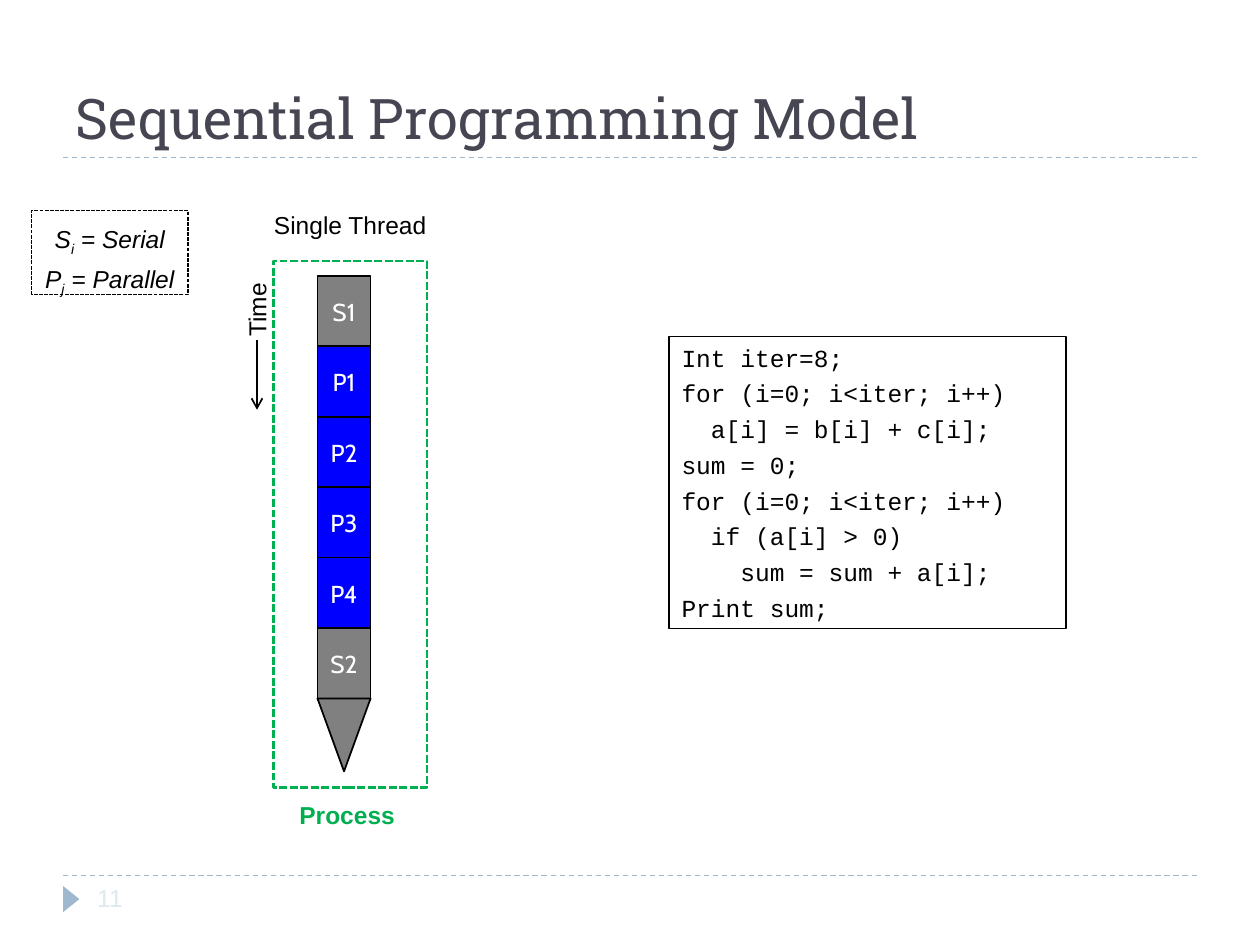
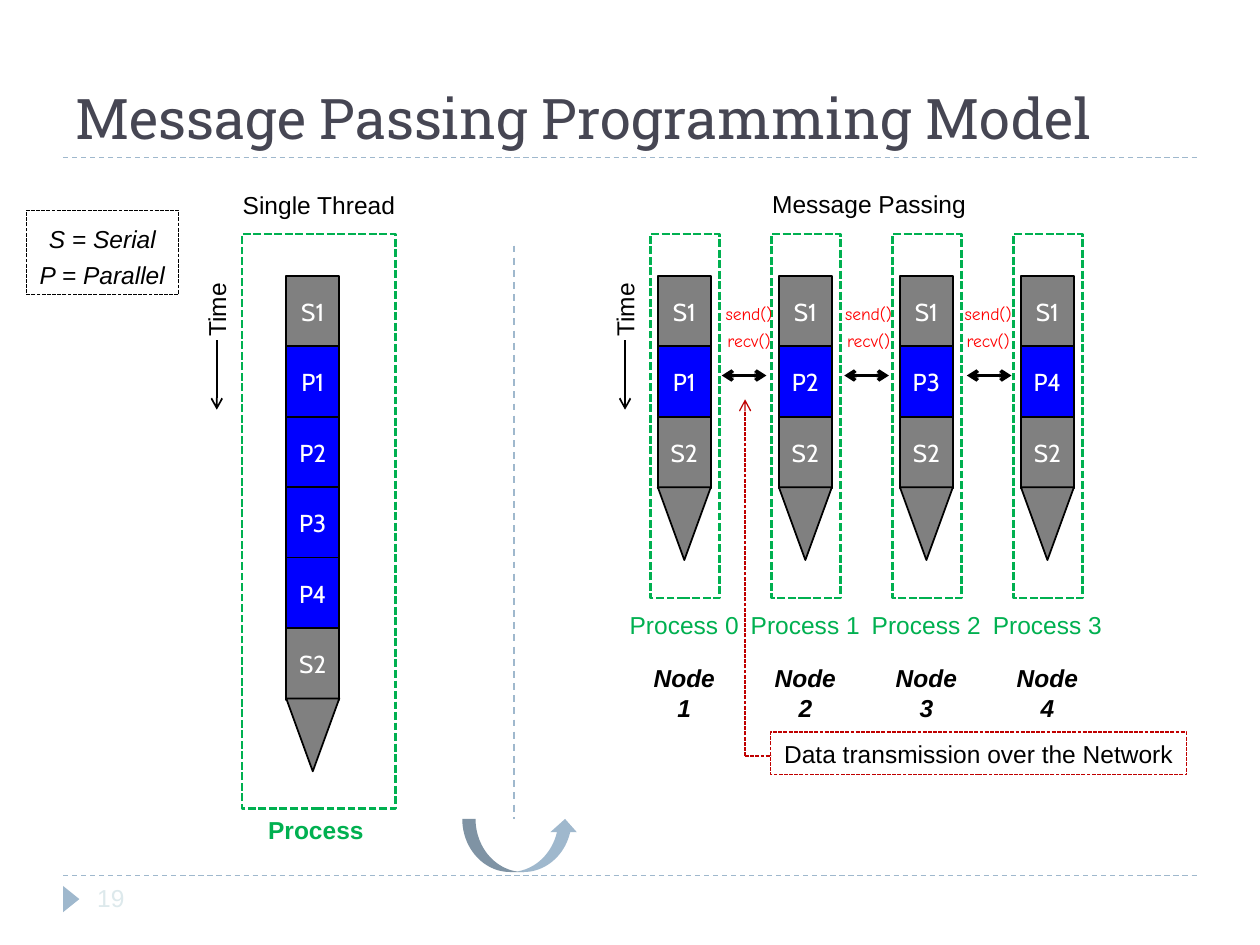
from pptx import Presentation
from pptx import util as u
from pptx.dml.color import RGBColor
from pptx.enum import dml, shapes, text
from pptx.oxml.ns import qn
from lxml import etree

CODE = """Int iter=8;
for (i=0; i<iter; i++)
  a[i] = b[i] + c[i];
sum = 0;
for (i=0; i<iter; i++)
  if (a[i] > 0)
    sum = sum + a[i];
Print sum;"""

BLACK, WHITE, GRAY = "000000", "FFFFFF", "808080"
BLUE, GREEN, RED = "0000FF", "00B050", "C00000"
SKY, SLATE, PALE = "9FB8CD", "464653", "DDE9EC"
DASH, DOTS = dml.MSO_LINE.DASH, dml.MSO_LINE.SQUARE_DOT
KIND = shapes.MSO_SHAPE
LEFT, MID = text.PP_ALIGN.LEFT, text.PP_ALIGN.CENTER
TOP, CORE, BASE = (text.MSO_ANCHOR.TOP, text.MSO_ANCHOR.MIDDLE,
                   text.MSO_ANCHOR.BOTTOM)


def color(code):
    return RGBColor.from_string(code)


def write(shape, words, size=14, face="Arial", ink=BLACK, bold=False,
          slant=False, align=MID, anchor=TOP, inset=(0, 0), wrap=False):
    frame = shape.text_frame
    frame.word_wrap = wrap
    frame.vertical_anchor = anchor
    frame.margin_left = frame.margin_right = u.Cm(inset[0])
    frame.margin_top = frame.margin_bottom = u.Cm(inset[1])
    for n, line in enumerate(words.split("\n")):
        para = frame.add_paragraph() if n else frame.paragraphs[0]
        para.alignment = align
        para.space_before = u.Pt(3.6 if n else 0)
        for k, part in enumerate(line.split("_")):
            run = para.add_run()
            run.text = part
            font = run.font
            font.size, font.name = u.Pt(size), face
            font.bold, font.italic = bold, slant
            font.color.rgb = color(ink)
            if k % 2:
                run._r.get_or_add_rPr().set("baseline", "-25000")


class Deck:
    block_w, step, start = 1.07, 1.42, 5.56
    label_h = 0.61

    def __init__(self):
        self.show = Presentation()
        self.show.slide_width = u.Cm(25.4)
        self.show.slide_height = u.Cm(19.05)

    def page(self, title, number):
        self.slide = self.show.slides.add_slide(self.show.slide_layouts[5])
        for y in (17.65, 3.18):
            self.line(1.27, y, 24.13, y, SKY, 0.75, DASH)
        self.shape(KIND.ISOSCELES_TRIANGLE, 1.17, 17.96, 0.53, 0.33,
                   fill=SKY, turn=90)
        head = self.slide.shapes.title
        head.left, head.top = u.Cm(1.27), u.Cm(0.43)
        head.width, head.height = u.Cm(22.86), u.Cm(2.74)
        write(head, title, size=32, face="Roboto Slab", ink=SLATE,
              align=LEFT, anchor=BASE, inset=(0.25, 0.13), wrap=True)
        self.label(number, 2.46, 17.8, 1, ink=PALE, align=LEFT)

    def shape(self, kind, x, y, w, h, fill=None, edge=None, width=1,
              dash=None, turn=0):
        item = self.slide.shapes.add_shape(
            kind, u.Cm(x), u.Cm(y), u.Cm(w), u.Cm(h))
        item.shadow.inherit = False
        item.rotation = turn
        if fill:
            item.fill.solid()
            item.fill.fore_color.rgb = color(fill)
        else:
            item.fill.background()
        if edge:
            self.stroke(item, edge, width, dash)
        else:
            item.line.fill.background()
        return item

    def stroke(self, item, ink, width, dash):
        item.line.color.rgb = color(ink)
        item.line.width = u.Pt(width)
        if dash:
            item.line.dash_style = dash

    def line(self, x1, y1, x2, y2, ink=BLACK, width=1, dash=None, ends=()):
        item = self.slide.shapes.add_connector(
            shapes.MSO_CONNECTOR.STRAIGHT,
            u.Cm(x1), u.Cm(y1), u.Cm(x2), u.Cm(y2))
        self.stroke(item, ink, width, dash)
        for end in ends:
            etree.SubElement(item.line._get_or_add_ln(), qn(f"a:{end}"),
                             type="arrow")
        etree.SubElement(item._element.spPr, qn("a:effectLst"))

    def label(self, words, mid, y, w, h=label_h, turn=0, **style):
        item = self.slide.shapes.add_textbox(
            u.Cm(mid - w / 2), u.Cm(y), u.Cm(w), u.Cm(h))
        item.rotation = turn
        write(item, words, **style)

    def frame(self, x, y, w, h):
        self.shape(KIND.RECTANGLE, x, y, w, h, edge=GREEN, width=1.5,
                   dash=DOTS)

    def note(self, words, x, y, w, h, edge=BLACK, dash=DOTS, **style):
        item = self.shape(KIND.RECTANGLE, x, y, w, h, edge=edge,
                          width=0.75, dash=dash)
        write(item, words, **style)

    def thread(self, x, names):
        for n, name in enumerate(names):
            item = self.shape(KIND.RECTANGLE, x, self.start + n * self.step,
                              self.block_w, 1.45, edge=BLACK,
                              fill=GRAY if name[0] == "S" else BLUE)
            write(item, name, face="Cabin", ink=WHITE, anchor=CORE,
                  inset=(0, 0.13))
        self.shape(KIND.ISOSCELES_TRIANGLE, x,
                   self.start + len(names) * self.step, self.block_w, 1.47,
                   fill=GRAY, edge=BLACK, turn=180)

    def time(self, x):
        self.line(x, 6.86, x, 8.26, ends=["tailEnd"])
        self.label("Time", x, 5.94, 1.09, turn=270)

    def single(self, x, y, h, head, foot):
        mid = x + 1.55
        self.label("Single Thread", mid, head, 3.1)
        self.thread(x + 0.89, ["S1", "P1", "P2", "P3", "P4", "S2"])
        self.frame(x, y, 3.1, h)
        self.label("Process", mid - 0.06, foot, 1.93, ink=GREEN, bold=True)

    def legend(self, words, x, w):
        self.note(words, x, 4.24, w, 1.7, slant=True, inset=(0.25, 0.28))


def serial(deck):
    deck.page("Sequential Programming Model", "11")
    deck.single(5.51, 5.26, 10.62, 4.24, 16.13)
    deck.time(5.18)
    deck.note(CODE, 13.49, 6.78, 8, 5.89, dash=None, face="Courier New",
              align=LEFT, inset=(0.25, 0.13), wrap=True)
    deck.legend("S_i_ = Serial\nP_j_ = Parallel", 0.64, 3.15)


def message(deck):
    deck.page("Message Passing Programming Model", "19")
    deck.single(4.88, 4.72, 11.58, 3.84, 16.43)
    deck.time(4.37)
    deck.legend("S = Serial\nP = Parallel", 0.53, 3.07)
    deck.line(10.36, 4.95, 10.36, 16.51, SKY, 1, DASH)
    deck.shape(KIND.CURVED_UP_ARROW, 9.32, 16.51, 2.34, 1.07, fill=SKY)

    deck.label("Message Passing", 17.52, 3.81, 3.94)
    deck.time(12.6)
    for n in range(4):
        x = 13.26 + 2.44 * n
        mid = x + deck.block_w / 2
        deck.thread(x, ["S1", f"P{n + 1}", "S2"])
        deck.frame(x - 0.15, 4.72, 1.4, 7.34)
        deck.label(f"Process {n}", mid, 12.29, 2.21, ink=GREEN)
        deck.label(f"Node {n + 1}", mid, 13.37, 1.65, bold=True, slant=True)
    for n in range(3):
        x = 14.55 + 2.47 * n
        deck.line(x, 7.57, x + 0.9, 7.57, width=2,
                  ends=["headEnd", "tailEnd"])
        deck.label("send()\nrecv()", 15.1 + 2.41 * n, 5.97, 1.55, 1.19,
                   size=10, face="Comic Neue", ink="FF0000",
                   inset=(0.25, 0.13))

    deck.line(15.02, 15.24, 15.02, 8.05, RED, 0.75, DOTS, ["tailEnd"])
    deck.line(15.02, 15.24, 15.54, 15.24, RED, 0.75, DOTS)
    deck.note("Data transmission over the Network", 15.54, 14.76, 8.38, 0.86,
              edge=RED, inset=(0.25, 0.13))


def main():
    deck = Deck()
    serial(deck)
    message(deck)
    deck.show.save("out.pptx")


if __name__ == "__main__":
    main()
